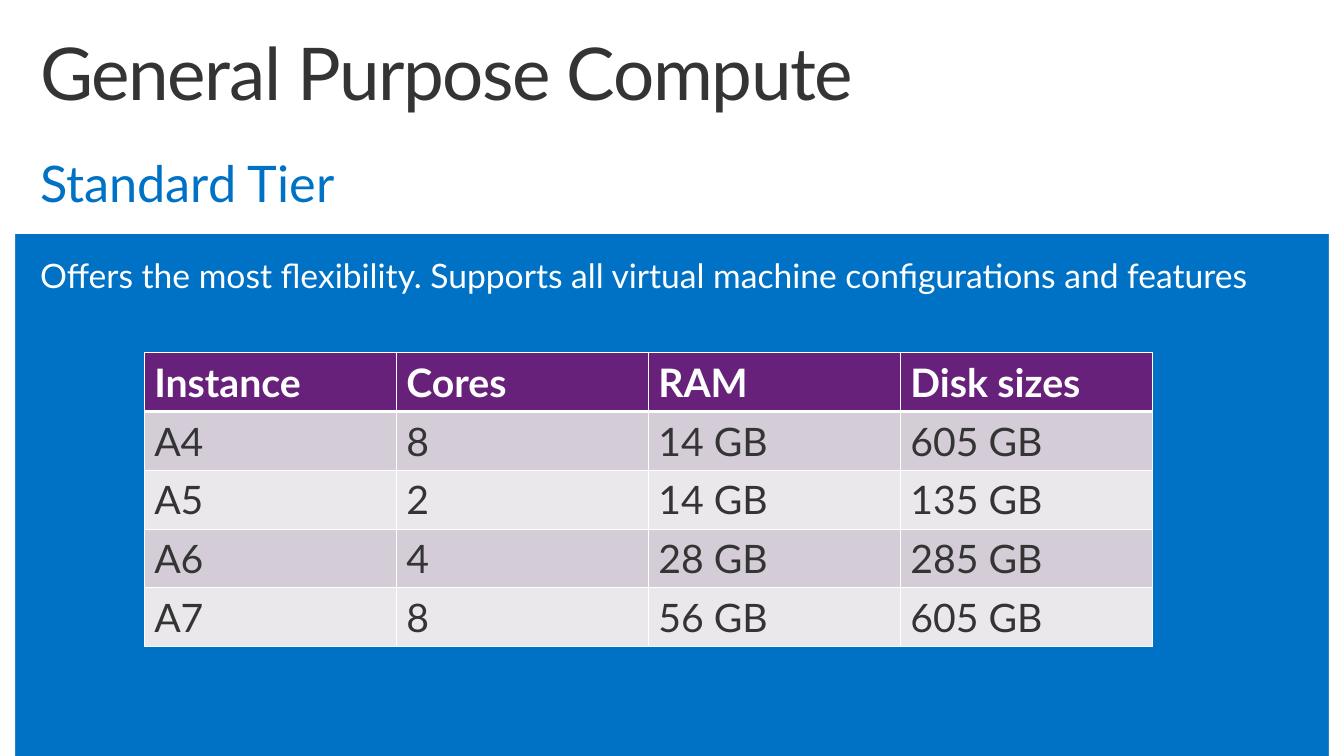
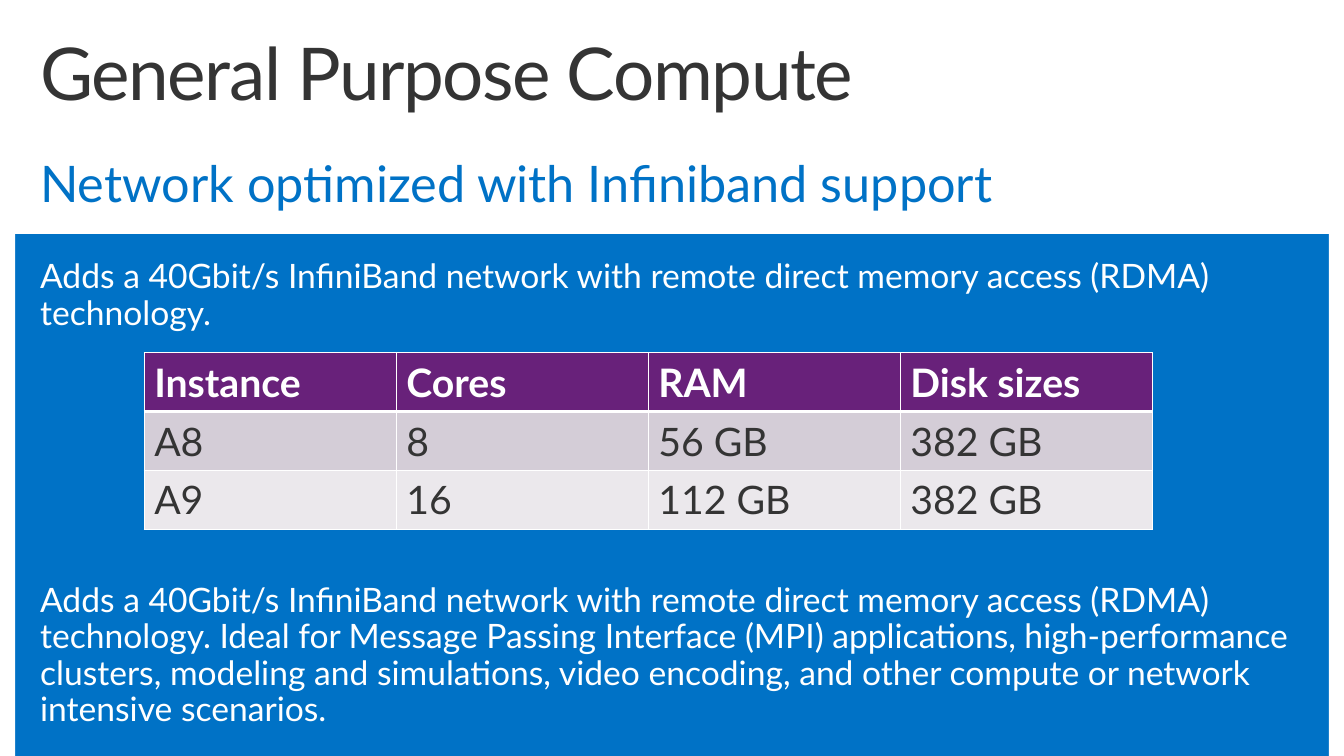
"""Build two slides that compare general purpose compute instances."""
from lxml.etree import SubElement
from pptx import Presentation
from pptx.dml.color import RGBColor
from pptx.enum.shapes import MSO_SHAPE
from pptx.enum.text import MSO_ANCHOR
from pptx.oxml.ns import qn
from pptx.util import Inches, Pt

FONT = "Lato"
WHITE = RGBColor(0xFF, 0xFF, 0xFF)
BLUE = RGBColor(0x00, 0x72, 0xC6)
DARK = RGBColor(0x34, 0x34, 0x34)
PURPLE = RGBColor(0x68, 0x21, 0x7A)
ROW_FILLS = [RGBColor(0xEB, 0xE8, 0xEC), RGBColor(0xD4, 0xCD, 0xD7)]

WIDTH, HEIGHT = 13.33, 7.5
EDGE = 0.15
BANDS = [(0, 0, EDGE, HEIGHT), (WIDTH - EDGE, 0, EDGE, HEIGHT), (0, 0, WIDTH, 2.32)]
ROW_HEIGHT = Inches(7 / 12)
COLUMN_WIDTH = Inches(2.5)

TITLE = "General Purpose Compute"
HEADER = ("Instance", "Cores", "RAM", "Disk sizes")
NETWORK = "Adds a 40Gbit/s InfiniBand network with remote direct memory access (RDMA) technology."
SLIDES = [
    {
        "subtitle": "Standard Tier",
        "intro": "Offers the most flexibility. Supports all virtual machine configurations and features",
        "intro_height": 4.47,
        "rows": [
            ("A4", "8", "14 GB", "605 GB"),
            ("A5", "2", "14 GB", "135 GB"),
            ("A6", "4", "28 GB", "285 GB"),
            ("A7", "8", "56 GB", "605 GB"),
        ],
        "closing": "",
    },
    {
        "subtitle": "Network optimized with Infiniband support",
        "intro": NETWORK,
        "intro_height": 2.56,
        "rows": [
            ("A8", "8", "56 GB", "382 GB"),
            ("A9", "16", "112 GB", "382 GB"),
        ],
        "closing": NETWORK + " Ideal for Message Passing Interface (MPI) applications, "
        "high-performance clusters, modeling and simulations, video encoding, "
        "and other compute or network intensive scenarios.",
    },
]


def add_text(page, text, top, width, height, size, color):
    """Add a left-aligned text box and return its only run."""
    box = page.shapes.add_textbox(Inches(0.3), Inches(top), Inches(width), Inches(height))
    box.text_frame.word_wrap = True
    box.text_frame.text = text
    para = box.text_frame.paragraphs[0]
    para.line_spacing = 0.9
    span = para.runs[0]
    span.font.name, span.font.size = FONT, Pt(size)
    span.font.color.rgb = color
    return span


def style_cell(cell, fill, color, bold, borders):
    """Format one table cell; borders maps a border tag to its width in points."""
    cell.vertical_anchor = MSO_ANCHOR.MIDDLE
    font = cell.text_frame.paragraphs[0].runs[0].font
    font.name, font.size, font.bold = FONT, Pt(28), bold
    font.color.rgb = color
    properties = cell._tc.get_or_add_tcPr()
    for tag, points in borders.items():
        line = SubElement(properties, qn(tag), w=str(Pt(points)))
        SubElement(SubElement(line, qn("a:solidFill")), qn("a:srgbClr"), val=str(WHITE))
    cell.fill.solid()
    cell.fill.fore_color.rgb = fill


deck = Presentation()
deck.slide_width, deck.slide_height = Inches(WIDTH), Inches(HEIGHT)

for content in SLIDES:
    page = deck.slides.add_slide(deck.slide_layouts[6])
    page.background.fill.solid()
    page.background.fill.fore_color.rgb = BLUE
    for bounds in BANDS:
        band = page.shapes.add_shape(MSO_SHAPE.RECTANGLE, *map(Inches, bounds))
        band.shadow.inherit = False
        band.fill.solid()
        band.fill.fore_color.rgb = WHITE
        band.line.fill.background()

    title = add_text(page, TITLE, 0.32, 10.8, 1.01, 52, DARK)
    title.font._element.set("spc", "-100")
    add_text(page, content["intro"], 2.53, 12.7, content["intro_height"], 24, WHITE)
    add_text(page, content["subtitle"], 1.53, 10.8, 0.7, 36, BLUE)

    rows = [HEADER, *content["rows"]]
    table = page.shapes.add_table(
        len(rows), len(HEADER), Inches(1.43), Inches(3.5),
        COLUMN_WIDTH * len(HEADER), ROW_HEIGHT * len(rows),
    ).table
    for column in table.columns:
        column.width = COLUMN_WIDTH
    for index, values in enumerate(rows):
        table.rows[index].height = ROW_HEIGHT
        is_header = index == 0
        borders = {
            "a:lnL": 1,
            "a:lnR": 1,
            "a:lnT": 3 if index == 1 else 1,
            "a:lnB": 3 if is_header else 1,
        }
        fill = PURPLE if is_header else ROW_FILLS[index % 2]
        color = WHITE if is_header else DARK
        for cell, value in zip(table.rows[index].cells, values):
            cell.text_frame.text = value
            style_cell(cell, fill, color, is_header, borders)

    if content["closing"]:
        add_text(page, content["closing"], 5.74, 12.7, 1.36, 24, WHITE)

deck.save("out.pptx")
